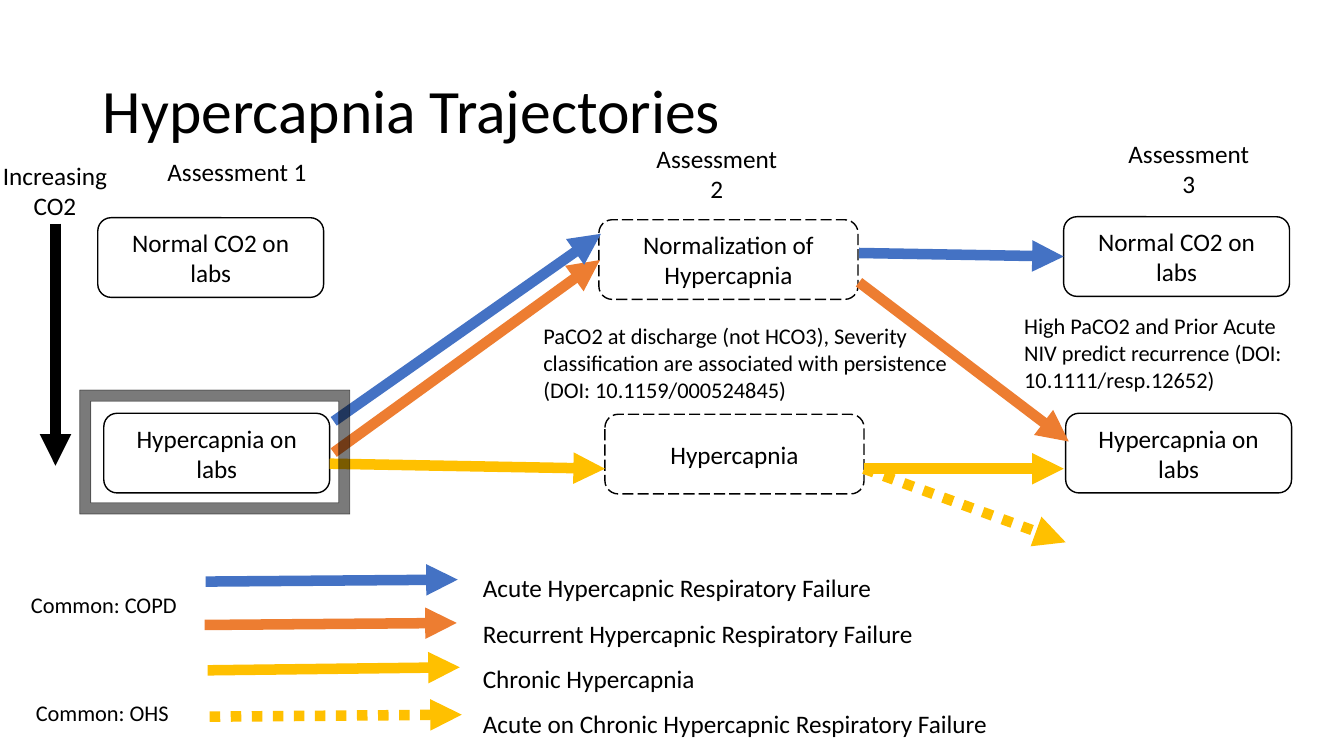
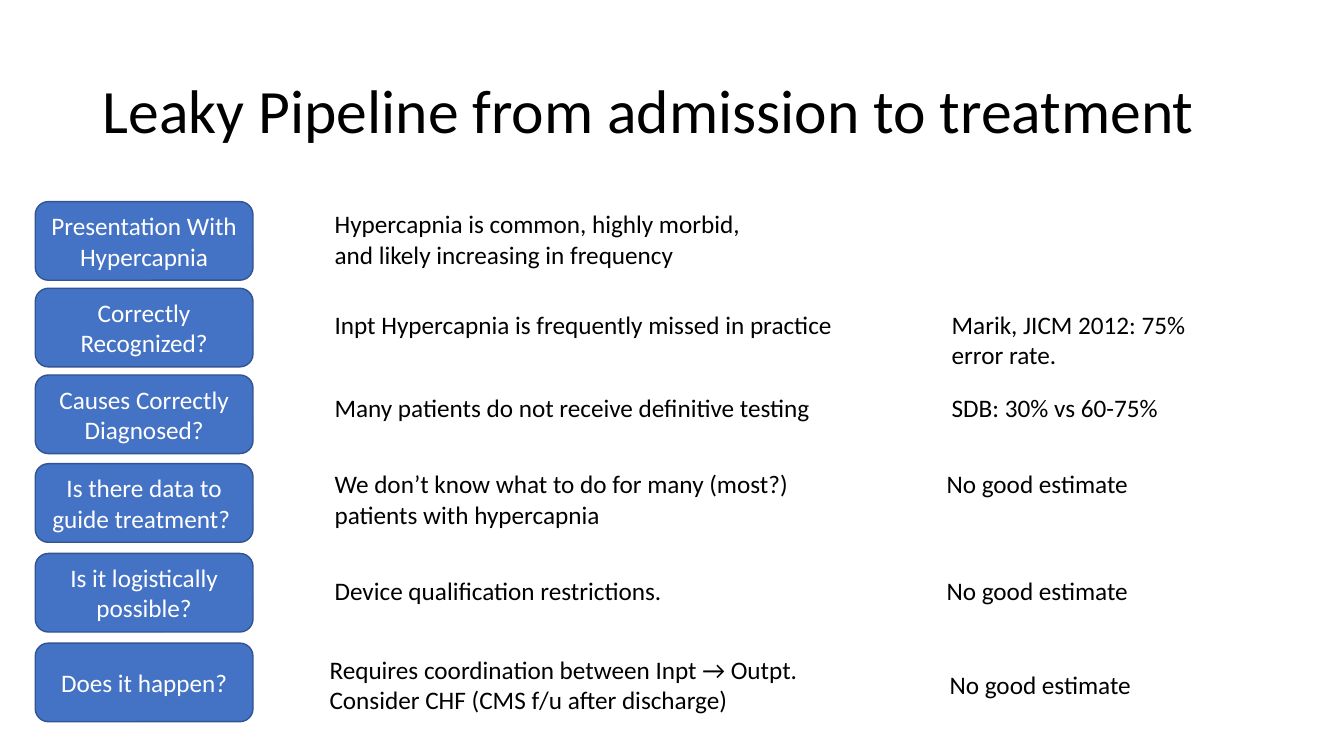
import pptx
import pptx.util
import pptx.dml.color
import pptx.enum.dml
import pptx.enum.shapes
import pptx.enum.text
import pptx.oxml.ns
import pptx.oxml.xmlchemy

RGB = pptx.dml.color.RGBColor
Shape = pptx.enum.shapes.MSO_SHAPE
Align = pptx.enum.text.PP_ALIGN
Anchor = pptx.enum.text.MSO_ANCHOR
Dash = pptx.enum.dml.MSO_LINE
qn = pptx.oxml.ns.qn
new_tag = pptx.oxml.xmlchemy.OxmlElement

PX = 9144  # 100 px to the inch
FONT = "Calibri"
BLACK = RGB(0x00, 0x00, 0x00)
WHITE = RGB(0xFF, 0xFF, 0xFF)
BLUE = RGB(0x44, 0x72, 0xC4)
NAVY = RGB(0x32, 0x54, 0x91)
ORANGE = RGB(0xED, 0x7D, 0x31)
GOLD = RGB(0xFF, 0xC0, 0x00)

BOX_H = 79
STEP_H = 78

# Arrows: start, end, colour, dash
FLOWS = [
    ((331, 449), (595, 258), ORANGE, None),
    ((327, 460), (600, 465), GOLD, None),
    ((331, 418), (596, 232), BLUE, None),
    ((852, 280), (1060, 438), ORANGE, None),
    ((857, 465), (1055, 465), GOLD, None),
    ((857, 465), (1057, 538), GOLD, Dash.ROUND_DOT),
    ((55, 222), (55, 462), BLACK, None),
]
KEYS = [
    ((204, 577), (454, 575), BLUE, None),
    ((203, 620), (453, 618), ORANGE, None),
    ((206, 665), (456, 662), GOLD, None),
    ((208, 711), (458, 709), GOLD, Dash.ROUND_DOT),
]
KINDS = [
    "Acute Hypercapnic Respiratory Failure",
    "Recurrent Hypercapnic Respiratory Failure",
    "Chronic Hypercapnia",
    "Acute on Chronic Hypercapnic Respiratory Failure",
]

# Centred labels: box, text, size
LABELS = [
    ((-8, 154, 125, 71), "Increasing CO2", 18),
    ((154, 150, 162, 40), "Assessment 1", 18),
    ((636, 137, 150, 71), "Assessment\n2", 18),
    ((1104, 132, 150, 71), "Assessment 3", 18),
    ((-31, 582, 268, 37), "Common: COPD", 16),
    ((0, 689, 203, 37), "Common: OHS", 16),
]
NOTES = [
    ((529, 315, 450, 91), "PaCO2 at discharge (not HCO3), Severity classification are "
                          "associated with persistence (DOI: 10.1159/000524845)"),
    ((1006, 305, 306, 91), "High PaCO2 and Prior Acute NIV predict recurrence "
                           "(DOI: 10.1111/resp.12652)"),
]

# Pipeline steps: top and text of the box
STEPS = [
    (200, "Presentation With Hypercapnia"),
    (286, "Correctly Recognized?"),
    (372, "Causes Correctly Diagnosed?"),
    (460, "Is there data to guide treatment? "),
    (549, "Is it logistically possible?"),
    (638, "Does it happen?"),
]
FACTS = [
    ((322, 202, 451, 71), "Hypercapnia is common, highly morbid, and likely increasing in frequency"),
    ((322, 302, 527, 40), "Inpt Hypercapnia is frequently missed in practice"),
    ((322, 384, 506, 40), "Many patients do not receive definitive testing"),
    ((322, 460, 478, 71), "We don’t know what to do for many (most?) patients with hypercapnia"),
    ((322, 566, 462, 40), "Device qualification restrictions."),
    ((317, 644, 511, 71), "Requires coordination between Inpt → Outpt. Consider CHF (CMS f/u after discharge)"),
    ((934, 302, 308, 71), "Marik, JICM 2012: 75% error rate."),
    ((934, 384, 308, 40), "SDB: 30% vs 60-75%"),
    ((929, 460, 270, 40), "No good estimate"),
    ((929, 566, 270, 40), "No good estimate"),
    ((932, 659, 270, 40), "No good estimate"),
]


def emu(nums):
    return [pptx.util.Emu(n * PX) for n in nums]


def write(frame, text, size=18, color=BLACK, align=Align.LEFT, space=None):
    frame.word_wrap = True
    frame.text = text
    for para in frame.paragraphs:
        para.alignment = align
        para.line_spacing = space
        for run in para.runs:
            run.font.name = FONT
            run.font.size = pptx.util.Pt(size)
            run.font.color.rgb = color


def add_text(slide, box, text, size=18, align=Align.LEFT, space=None):
    shape = slide.shapes.add_textbox(*emu(box))
    write(shape.text_frame, text, size, BLACK, align, space)


def add_box(slide, box, text, fill=WHITE, edge=BLACK, color=BLACK, dash=None):
    shape = slide.shapes.add_shape(Shape.ROUNDED_RECTANGLE, *emu(box))
    shape.shadow.inherit = False
    shape.fill.solid()
    shape.fill.fore_color.rgb = fill
    shape.line.color.rgb = edge
    shape.line.width = pptx.util.Pt(1)
    shape.line.dash_style = dash
    shape.text_frame.vertical_anchor = Anchor.MIDDLE
    write(shape.text_frame, text, 18, color, Align.CENTER)
    return shape


def add_arrow(slide, start, end, color, dash=None):
    line = slide.shapes.add_connector(
        pptx.enum.shapes.MSO_CONNECTOR.STRAIGHT, *emu(start + end))
    line.line.color.rgb = color
    line.line.width = pptx.util.Pt(7.5)
    line.line.dash_style = dash
    props = line._element.spPr
    tail = new_tag("a:tailEnd")
    tail.set("type", "triangle")
    props.find(qn("a:ln")).append(tail)
    props.append(new_tag("a:effectLst"))
    return line


def set_alpha(shape, levels):
    """Set the opacity of the fill and then of the outline, in percent."""
    colors = shape._element.spPr.iter(qn("a:srgbClr"))
    for color, level in zip(colors, levels):
        alpha = new_tag("a:alpha")
        alpha.set("val", str(level * 1000))
        color.append(alpha)


def add_frame(slide, box):
    shape = slide.shapes.add_shape(Shape.FRAME, *emu(box))
    shape.adjustments[0] = 0.09
    shape.shadow.inherit = False
    shape.fill.solid()
    shape.fill.fore_color.rgb = BLACK
    shape.line.color.rgb = BLACK
    shape.line.width = pptx.util.Pt(0.5)
    set_alpha(shape, (52, 50))


def add_slide(deck, text):
    slide = deck.slides.add_slide(deck.slide_layouts[5])
    title = slide.shapes.title
    title.left, title.top, title.width, title.height = emu((92, 40, 1150, 145))
    title.text_frame.auto_size = pptx.enum.text.MSO_AUTO_SIZE.NONE
    title.text_frame.vertical_anchor = Anchor.MIDDLE
    write(title.text_frame, text, 44, space=0.9)
    return slide


def draw_paths(deck):
    slide = add_slide(deck, "Hypercapnia Trajectories")

    # Legend
    for key in KEYS:
        add_arrow(slide, *key)
    add_text(slide, (469, 548, 812, 188), "\n".join(KINDS), space=1.5)

    # States
    add_box(slide, (600, 411, 257, BOX_H), "Hypercapnia", dash=Dash.LONG_DASH)
    add_box(slide, (594, 218, 257, BOX_H), "Normalization of Hypercapnia",
            dash=Dash.LONG_DASH)
    add_box(slide, (97, 216, 224, BOX_H), "Normal CO2 on labs")
    normal = add_box(slide, (1055, 215, 224, BOX_H), "Normal CO2 on labs")
    for left in (103, 1057):
        add_box(slide, (left, 410, 224, BOX_H), "Hypercapnia on labs")

    # Trajectories
    steady = add_arrow(slide, (852, 251), (1055, 255), BLUE)
    steady.end_connect(normal, 1)
    for flow in FLOWS:
        add_arrow(slide, *flow)
    add_frame(slide, (79, 387, 268, 123))

    # Labels and notes
    for box, text, size in LABELS:
        add_text(slide, box, text, size, Align.CENTER)
    for box, text in NOTES:
        add_text(slide, box, text, 16)


def draw_steps(deck):
    slide = add_slide(deck, "Leaky Pipeline from admission to treatment")
    for top, text in STEPS:
        add_box(slide, (35, top, 216, STEP_H), text, BLUE, NAVY, WHITE)
    for box, text in FACTS:
        add_text(slide, box, text)


def main():
    deck = pptx.Presentation()
    deck.slide_width, deck.slide_height = emu((1333, 750))
    draw_paths(deck)
    draw_steps(deck)
    deck.save("out.pptx")


if __name__ == "__main__":
    main()
